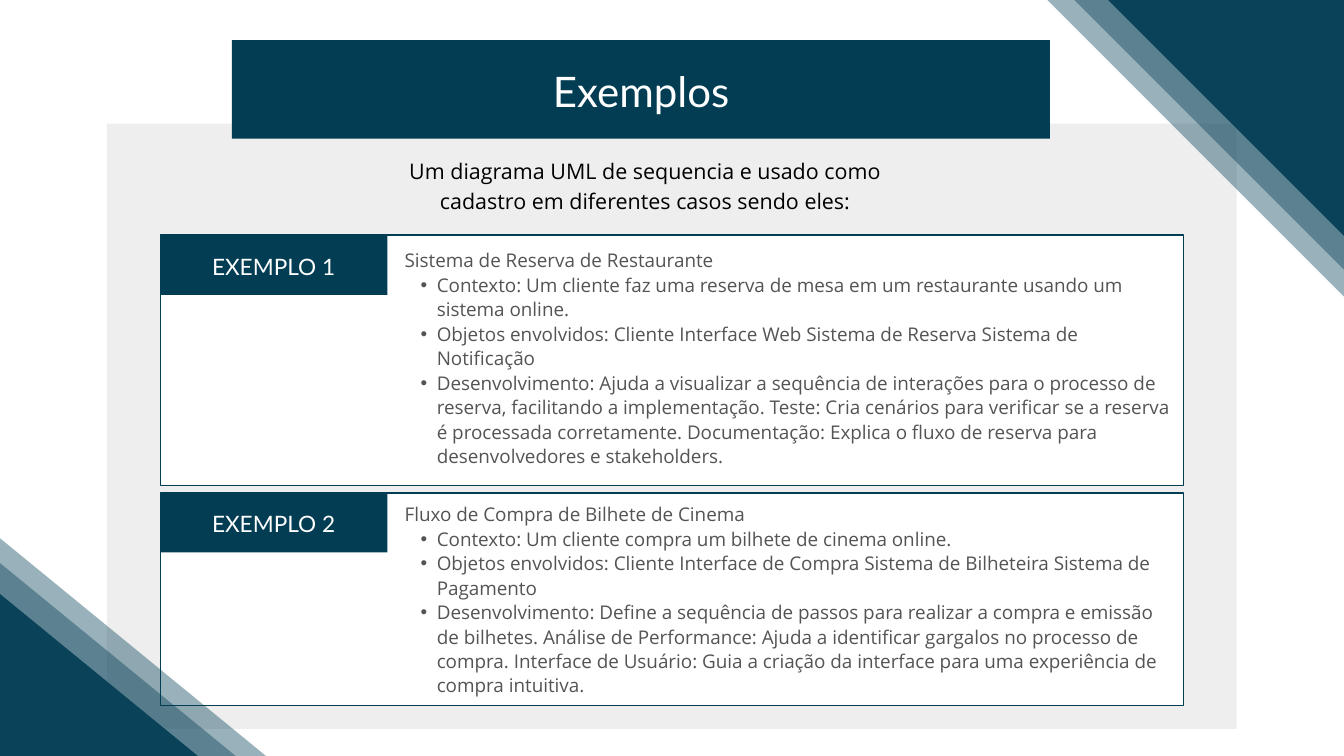
from lxml.etree import SubElement
from pptx import Presentation
from pptx.dml.color import RGBColor
from pptx.enum.shapes import MSO_SHAPE as Preset
from pptx.enum.text import PP_ALIGN as Align
from pptx.oxml.ns import qn
from pptx.util import Pt

COLORS = {
    "navy": "023D54",
    "backdrop": "EEEEEE",
    "white": "FFFFFF",
    "body": "545454",
    "black": "000000",
}


class SlideBuilder:
    heading_font = "Lato"
    body_font = "Open Sans"

    def __init__(self, slide):
        self.slide = slide

    def color(self, name):
        return RGBColor.from_string(COLORS[name])

    def box(self, left, top, width, height, fill, line=None):
        rect = self.slide.shapes.add_shape(
            Preset.RECTANGLE, Pt(left), Pt(top), Pt(width), Pt(height))
        rect.shadow.inherit = False
        rect.fill.solid()
        rect.fill.fore_color.rgb = self.color(fill)
        if line:
            rect.line.color.rgb = self.color(line)
            rect.line.width = Pt(1.5)
        else:
            rect.line.fill.background()
        return rect

    def band(self, left, top, rotation, opacity):
        stripe = self.box(left, top, 461, 682.5, "navy")
        stripe.rotation = rotation
        tint = stripe._element.spPr.find(qn("a:solidFill"))[0]
        SubElement(tint, qn("a:alpha"), val=str(opacity * 1000))

    def text(self, left, top, width, height, lines, font, size, color,
             spacing, align=Align.LEFT):
        frame = self.slide.shapes.add_textbox(
            Pt(left), Pt(top), Pt(width), Pt(height)).text_frame
        frame.word_wrap = True
        frame.margin_left = frame.margin_right = 0
        frame.margin_top = frame.margin_bottom = 0
        frame.text = "\n".join(lines)
        for paragraph in frame.paragraphs:
            paragraph.alignment = align
            paragraph.line_spacing = Pt(spacing)
            for run in paragraph.runs:
                run.font.name = font
                run.font.size = Pt(size)
                run.font.color.rgb = self.color(color)
        return frame

    def heading(self, left, top, width, height, words, size, spacing):
        self.text(left, top, width, height, [words], self.heading_font,
                  size, "white", spacing, Align.CENTER)

    def description(self, top, height, topic, points):
        frame = self.text(433.5, top, 821, height, [topic, *points],
                          self.body_font, 20.2, "body", 26.2)
        for paragraph in frame.paragraphs[1:]:
            paragraph.level = 1
            properties = paragraph._p.get_or_add_pPr()
            properties.set("marL", str(Pt(34.5)))
            properties.set("indent", str(Pt(-17.25)))
            SubElement(properties, qn("a:buFont"), typeface="Arial")
            SubElement(properties, qn("a:buChar"), char="•")


EXAMPLES = [
    {
        "top": 252, "height": 268, "label_top": 269,
        "text_top": 265, "text_height": 236,
        "label": "EXEMPLO 1",
        "topic": "Sistema de Reserva de Restaurante",
        "points": [
            "Contexto: Um cliente faz uma reserva de mesa em um restaurante "
            "usando um sistema online.",
            "Objetos envolvidos: Cliente Interface Web Sistema de Reserva "
            "Sistema de Notificação",
            "Desenvolvimento: Ajuda a visualizar a sequência de interações "
            "para o processo de reserva, facilitando a implementação. Teste: "
            "Cria cenários para verificar se a reserva é processada "
            "corretamente. Documentação: Explica o fluxo de reserva para "
            "desenvolvedores e stakeholders.",
        ],
    },
    {
        "top": 528, "height": 228, "label_top": 543.5,
        "text_top": 537, "text_height": 207,
        "label": "EXEMPLO 2",
        "topic": "Fluxo de Compra de Bilhete de Cinema",
        "points": [
            "Contexto: Um cliente compra um bilhete de cinema online.",
            "Objetos envolvidos: Cliente Interface de Compra Sistema de "
            "Bilheteira Sistema de Pagamento",
            "Desenvolvimento: Define a sequência de passos para realizar a "
            "compra e emissão de bilhetes. Análise de Performance: Ajuda a "
            "identificar gargalos no processo de compra. Interface de "
            "Usuário: Guia a criação da interface para uma experiência de "
            "compra intuitiva.",
        ],
    },
]

BANDS = [(0, 0, 40), (3, 29, 40), (6.5, 65, 90)]


def main():
    deck = Presentation()
    deck.slide_width, deck.slide_height = Pt(1440), Pt(810)
    builder = SlideBuilder(deck.slides.add_slide(deck.slide_layouts[6]))

    builder.box(114.5, 132.5, 1210.5, 648.5, "backdrop")
    for example in EXAMPLES:
        builder.box(172, example["top"], 1096, example["height"],
                    "white", "navy")
    for example in EXAMPLES:
        builder.box(172, example["top"], 243, 64, "navy")
    builder.box(248.5, 43, 876.5, 105.5, "navy")

    builder.heading(129, 66, 1116, 57, "Exemplos", 45, 58.5)
    for example in EXAMPLES:
        builder.heading(192, example["label_top"], 202.5, 30,
                        example["label"], 24.2, 31.4)
        builder.description(example["text_top"], example["text_height"],
                            example["topic"], example["points"])

    for shift, step, opacity in BANDS:
        builder.band(1175.5, -383.5 - step, 315, opacity)
        builder.band(-234 + shift, 530.5 + step, 129.3, opacity)

    builder.text(413.5, 165, 556, 62,
                 ["Um diagrama UML de sequencia e usado como cadastro em "
                  "diferentes casos sendo eles:"],
                 builder.body_font, 23, "black", 32.2, Align.CENTER)

    deck.save("out.pptx")


if __name__ == "__main__":
    main()
